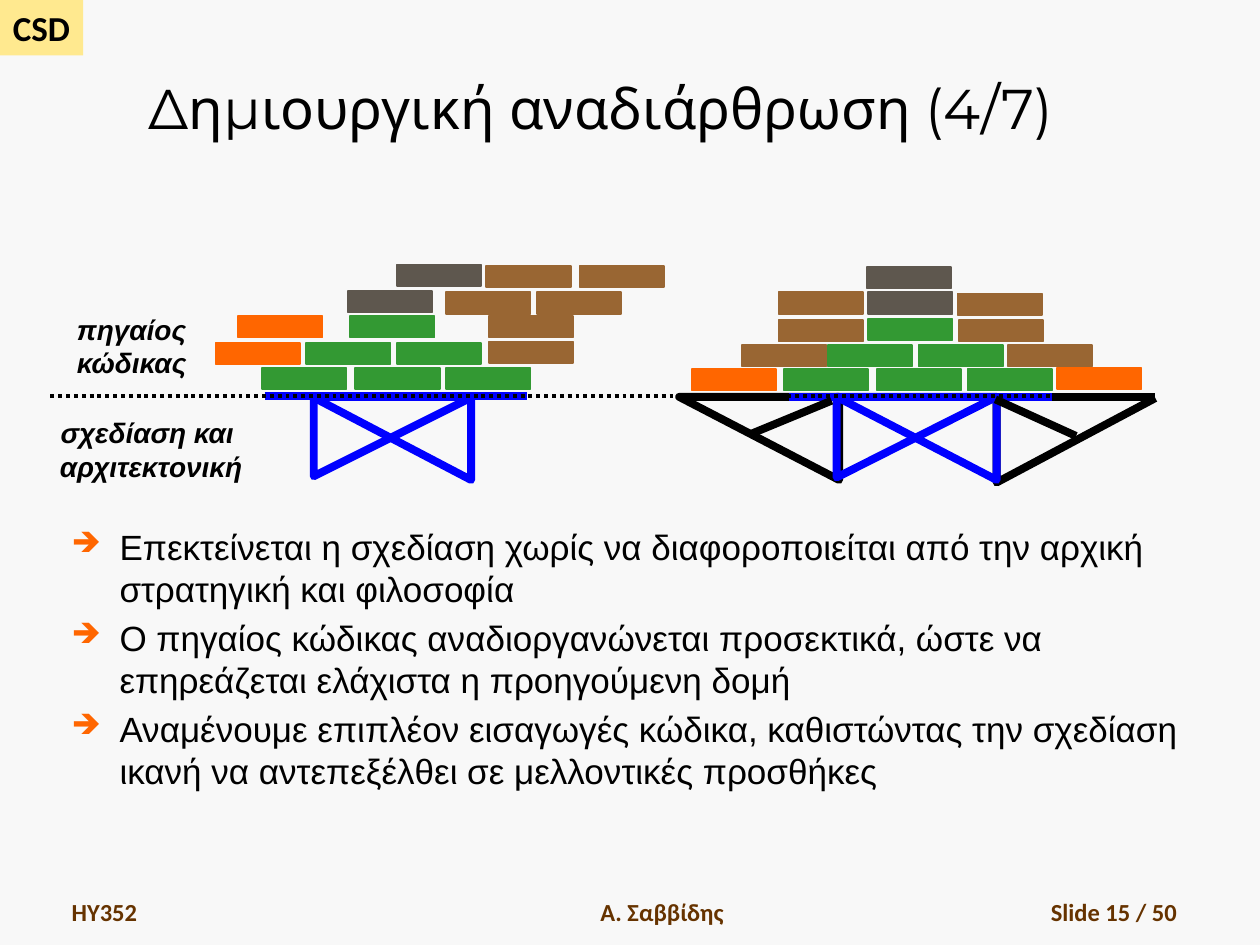
from dataclasses import dataclass
from typing import NamedTuple

from lxml import etree
from pptx import Presentation
from pptx.dml.color import RGBColor
from pptx.enum.dml import MSO_LINE
from pptx.enum.shapes import MSO_CONNECTOR, MSO_SHAPE
from pptx.enum.text import MSO_ANCHOR, PP_ALIGN
from pptx.oxml.ns import qn
from pptx.util import Emu, Inches, Pt

LEFT, CENTER, RIGHT = PP_ALIGN.LEFT, PP_ALIGN.CENTER, PP_ALIGN.RIGHT
TOP, MIDDLE, BOTTOM = MSO_ANCHOR.TOP, MSO_ANCHOR.MIDDLE, MSO_ANCHOR.BOTTOM
STRAIGHT, RECTANGLE = MSO_CONNECTOR.STRAIGHT, MSO_SHAPE.RECTANGLE
DOTTED = MSO_LINE.ROUND_DOT

COLUMNS, ROWS = 100, 75
CELL = 0.1  # inches, for both columns and rows
BRICK_WIDTH, BRICK_HEIGHT = 6.7, 1.7


@dataclass(frozen=True)
class Theme:
    background: str = "F8F8F8"
    badge: str = "FFE98F"
    ink: str = "000000"
    footer: str = "663300"
    beam: str = "0000FF"
    orange: str = "FF6600"
    green: str = "339933"
    brown: str = "996633"
    gray: str = "5E574E"
    title_size: float = 32
    body_size: float = 20
    label_size: float = 16
    footer_size: float = 14
    beam_width: float = 4.5
    ground_width: float = 2.25
    body_font: str = "Arial"
    small_font: str = "Calibri"
    title_font: str = "Montserrat"


THEME = Theme()


class Box(NamedTuple):
    column: float
    row: float
    width: float
    height: float


class Course(NamedTuple):
    """Bricks of one colour that lie on one row."""
    row: float
    color: str
    columns: tuple


class Truss(NamedTuple):
    color: str
    points: tuple
    closed: bool


class Beam(NamedTuple):
    start: tuple
    end: tuple
    color: str = THEME.beam
    width: float = THEME.beam_width
    dash: MSO_LINE | None = None


LEFT_WALL = (
    Course(21.1, THEME.brown, (38.6, 46)),
    Course(21, THEME.gray, (31.5,)),
    Course(23.2, THEME.brown, (35.4, 42.6)),
    Course(23.1, THEME.gray, (27.6,)),
    Course(25.1, THEME.orange, (18.9,)),
    Course(25.1, THEME.green, (27.8,)),
    Course(25.1, THEME.brown, (38.8,)),
    Course(27.2, THEME.orange, (17.1,)),
    Course(27.2, THEME.green, (24.3, 31.5)),
    Course(27.1, THEME.brown, (38.8,)),
    Course(29.2, THEME.green, (20.8, 28.2, 35.4)),
)
RIGHT_WALL = (
    Course(21.2, THEME.gray, (68.8,)),
    Course(23.2, THEME.brown, (61.8,)),
    Course(23.2, THEME.gray, (68.9,)),
    Course(23.3, THEME.brown, (76,)),
    Course(25.4, THEME.brown, (61.8, 76.1)),
    Course(25.3, THEME.green, (68.9,)),
    Course(27.4, THEME.brown, (58.9, 80)),
    Course(27.4, THEME.green, (65.7, 72.9)),
    Course(29.3, THEME.orange, (54.9,)),
    Course(29.3, THEME.green, (62.2, 69.6, 76.8)),
    Course(29.2, THEME.orange, (83.9,)),
)
TRUSSES = (
    Truss(THEME.beam, ((24.8, 31.5), (37.4, 31.5), (37.4, 38.1)), True),
    Truss(THEME.beam, ((37.3, 31.6), (24.9, 37.8), (24.9, 31.6)), False),
    Truss(THEME.ink, ((53.9, 31.5), (66.6, 31.5), (66.6, 38.1)), True),
    Truss(THEME.ink, ((91.7, 31.6), (79.1, 38.3), (79.1, 31.6)), False),
    Truss(THEME.beam, ((66.4, 31.5), (79.1, 31.5), (79.1, 38.1)), True),
    Truss(THEME.beam, ((78.9, 31.6), (66.4, 37.9), (66.4, 31.6)), False),
)
BEAMS = (
    Beam((21, 31.4), (41.8, 31.4)),
    Beam((76.3, 31.5), (91.7, 31.5), THEME.ink),
    Beam((62.6, 31.5), (83.5, 31.5)),
    Beam((66, 31.8), (59.7, 34.4), THEME.ink),
    Beam((79, 31.7), (85.4, 34.6), THEME.ink),
    Beam((4, 31.4), (83.5, 31.4), THEME.ink, THEME.ground_width, DOTTED),
)
BULLETS = (
    "Επεκτείνεται η σχεδίαση χωρίς να διαφοροποιείται από την αρχική στρατηγική και φιλοσοφία",
    "Ο πηγαίος κώδικας αναδιοργανώνεται προσεκτικά, ώστε να επηρεάζεται ελάχιστα η προηγούμενη δομή",
    "Αναμένουμε επιπλέον εισαγωγές κώδικα, καθιστώντας την σχεδίαση ικανή να αντεπεξέλθει "
    "σε μελλοντικές προσθήκες",
)
FOOTERS = (
    ("HY352", Box(4.7, 69, 21.9, 5), LEFT),
    ("Α. Σαββίδης", Box(36.7, 69, 31.7, 5), CENTER),
    ("Slide 15 / 50", Box(73.6, 69, 20.8, 5), RIGHT),
)


def cells(*counts: float) -> list[Emu]:
    return [Inches(count * CELL) for count in counts]


def rgb(color: str) -> RGBColor:
    return RGBColor.from_string(color)


def add_block(page, box: Box, color: str, outlined: bool = True) -> None:
    block = page.shapes.add_shape(RECTANGLE, *cells(*box))
    block.shadow.inherit = False
    block.fill.solid()
    block.fill.fore_color.rgb = rgb(color)
    if outlined:
        block.line.color.rgb = rgb(color)
        block.line.width = Pt(1)
    else:
        block.line.fill.background()


def add_wall(page, courses: tuple) -> None:
    for course in courses:
        for column in course.columns:
            add_block(page, Box(column, course.row, BRICK_WIDTH, BRICK_HEIGHT), course.color)


def add_truss(page, truss: Truss) -> None:
    start, *others = [cells(*point) for point in truss.points]
    builder = page.shapes.build_freeform(*start, scale=1.0)
    builder.add_line_segments(others, close=truss.closed)
    outline = builder.convert_to_shape()
    outline.shadow.inherit = False
    outline.fill.background()
    outline.line.color.rgb = rgb(truss.color)
    outline.line.width = Pt(THEME.beam_width)


def add_beam(page, beam: Beam) -> None:
    connector = page.shapes.add_connector(STRAIGHT, *cells(*beam.start, *beam.end))
    connector.line.color.rgb = rgb(beam.color)
    connector.line.width = Pt(beam.width)
    if beam.dash is not None:
        connector.line.dash_style = beam.dash
    etree.SubElement(connector._element.spPr, qn("a:effectLst"))


def add_bullet(para) -> None:
    properties = para._p.get_or_add_pPr()
    indent = Inches(0.38)
    properties.set("marL", str(indent))
    properties.set("indent", str(-indent))
    color = etree.SubElement(properties, qn("a:buClr"))
    etree.SubElement(color, qn("a:srgbClr"), val=THEME.orange)
    etree.SubElement(properties, qn("a:buSzPct"), val="80000")
    etree.SubElement(properties, qn("a:buChar"), char="➔")


def add_text(page, box: Box, *lines: str, size: float, font: str, color: str = THEME.ink,
             bold: bool = False, italic: bool = False, align: PP_ALIGN = LEFT,
             anchor: MSO_ANCHOR = TOP, wrap: bool = True, space_before: float = 0,
             bulleted: bool = False) -> None:
    frame = page.shapes.add_textbox(*cells(*box)).text_frame
    frame.word_wrap = wrap
    frame.vertical_anchor = anchor
    for index, line in enumerate(lines):
        para = frame.add_paragraph() if index else frame.paragraphs[0]
        para.alignment = align
        para.space_before = Pt(space_before)
        if bulleted:
            add_bullet(para)
        span = para.add_run()
        span.text = line
        span.font.size, span.font.name = Pt(size), font
        span.font.bold, span.font.italic = bold, italic
        span.font.color.rgb = rgb(color)


def main() -> None:
    deck = Presentation()
    deck.slide_width, deck.slide_height = cells(COLUMNS, ROWS)
    page = deck.slides.add_slide(deck.slide_layouts[6])
    page.background.fill.solid()
    page.background.fill.fore_color.rgb = rgb(THEME.background)

    badge = Box(0, 0, 6.6, 4.4)
    add_block(page, badge, THEME.badge, outlined=False)
    add_text(page, badge, "CSD", size=THEME.body_size, font=THEME.small_font, bold=True,
             align=CENTER, anchor=MIDDLE, wrap=False)
    for text, box, align in FOOTERS:
        add_text(page, box, text, size=THEME.footer_size, font=THEME.small_font, bold=True,
                 color=THEME.footer, align=align, anchor=BOTTOM, space_before=7)
    add_text(page, Box(10.8, 1.7, 89.2, 10), "Δημιουργική αναδιάρθρωση (4/7)",
             size=THEME.title_size, font=THEME.title_font, anchor=BOTTOM)
    add_text(page, Box(4.7, 41.2, 91.2, 26.5), *BULLETS, size=THEME.body_size,
             font=THEME.body_font, space_before=4, bulleted=True)

    for truss in TRUSSES:
        add_truss(page, truss)
    for beam in BEAMS:
        add_beam(page, beam)
    for wall in (LEFT_WALL, RIGHT_WALL):
        add_wall(page, wall)
    for box, lines in ((Box(5, 24.3, 10.9, 6.4), ("πηγαίος", "κώδικας")),
                       (Box(3.7, 32.5, 16.6, 6.4), ("σχεδίαση και ", "αρχιτεκτονική"))):
        add_text(page, box, *lines, size=THEME.label_size, font=THEME.body_font,
                 bold=True, italic=True, align=CENTER, wrap=False)
    deck.save("out.pptx")


if __name__ == "__main__":
    main()
